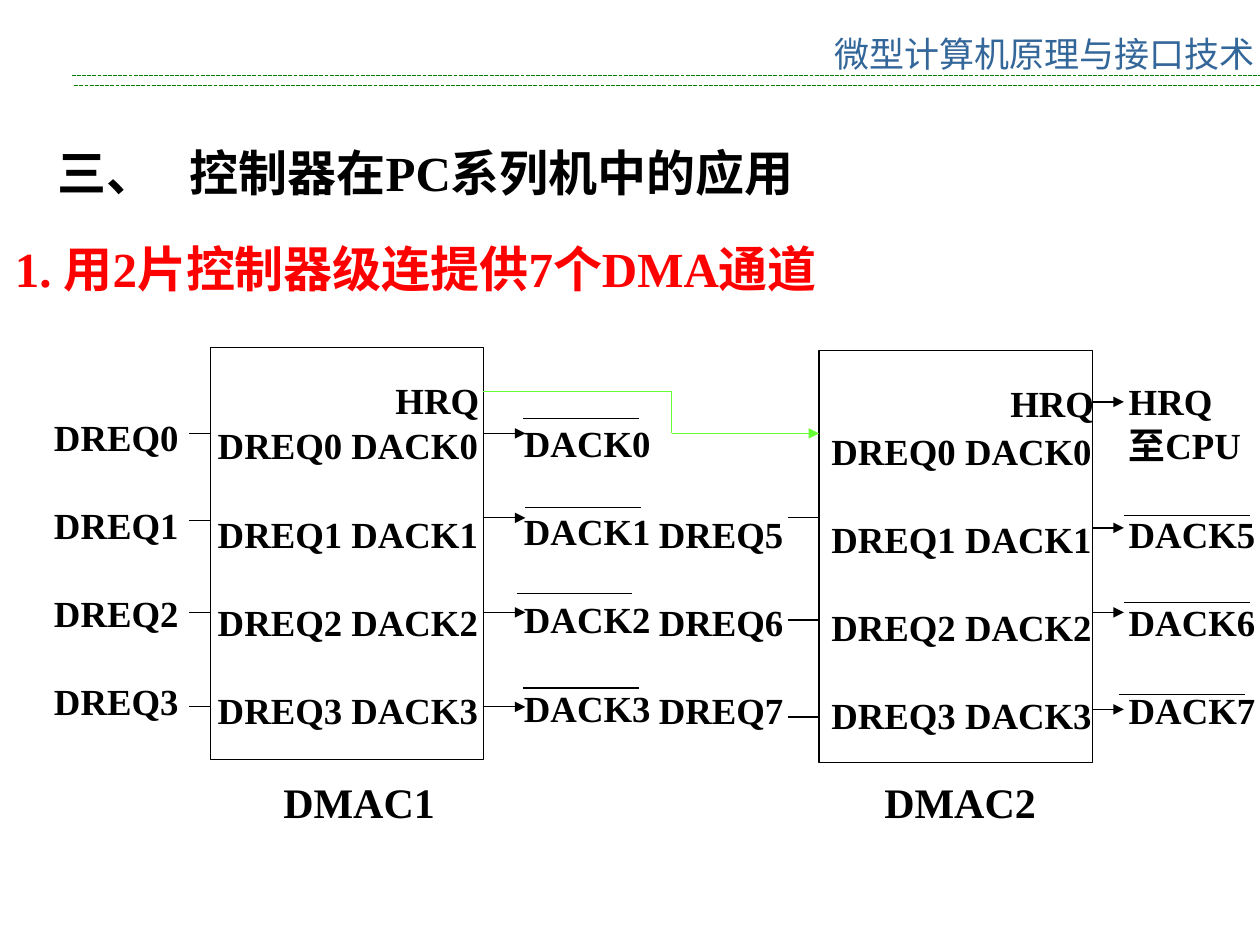
from lxml import etree
from pptx import Presentation
from pptx.dml.color import RGBColor
from pptx.enum.dml import MSO_LINE
from pptx.enum.shapes import MSO_CONNECTOR, MSO_SHAPE
from pptx.enum.text import PP_ALIGN
from pptx.oxml.ns import qn
from pptx.util import Inches, Pt

STRAIGHT = MSO_CONNECTOR.STRAIGHT
RECTANGLE = MSO_SHAPE.RECTANGLE
LEFT, CENTER = PP_ALIGN.LEFT, PP_ALIGN.CENTER
DOTTED = MSO_LINE.SQUARE_DOT

BLACK = RGBColor(0x00, 0x00, 0x00)
RED = RGBColor(0xFF, 0x00, 0x00)
GREEN = RGBColor(0x00, 0x80, 0x00)
LIME = RGBColor(0x66, 0xFF, 0x33)
BLUE = RGBColor(0x33, 0x66, 0x99)

LATIN_FONT = "Times New Roman"
CJK_FONT = "Noto Sans CJK SC"
LINE_PITCH = 25.2


def add_text(page, text, left, top, width, height, size=21, color=BLACK, bold=True,
             font=LATIN_FONT, align=LEFT, pitch=None, gap=0, tab=None):
    box = page.shapes.add_textbox(Inches(left), Inches(top), Inches(width), Inches(height))
    frame = box.text_frame
    frame.word_wrap = True
    for index, line in enumerate(text.split("\n")):
        para = frame.paragraphs[0] if index == 0 else frame.add_paragraph()
        para.alignment = align
        if pitch:
            para.line_spacing = Pt(pitch)
        if index and gap:
            para.space_before = Pt(gap)
        if tab:
            tabs = etree.SubElement(para._p.get_or_add_pPr(), qn("a:tabLst"))
            etree.SubElement(tabs, qn("a:tab"), pos=str(Inches(tab)), algn="l")
        span = para.add_run()
        span.text = line
        span.font.name = font
        span.font.size = Pt(size)
        span.font.bold = bold
        span.font.color.rgb = color
        etree.SubElement(span._r.get_or_add_rPr(), qn("a:ea"), typeface=CJK_FONT)


def add_labels(page, labels, left, top, width, gap=LINE_PITCH):
    height = 0.1 + (len(labels) * LINE_PITCH + (len(labels) - 1) * gap) / 72
    add_text(page, "\n".join(labels), left, top, width, round(height, 2),
             pitch=LINE_PITCH, gap=gap)


def add_line(page, start, end, color=BLACK, arrow=False, dash=None):
    line = page.shapes.add_connector(STRAIGHT, *(Inches(value) for value in (*start, *end)))
    line.line.color.rgb = color
    line.line.width = Pt(0.75)
    if dash:
        line.line.dash_style = dash
    if arrow:
        etree.SubElement(line.line._get_or_add_ln(), qn("a:tailEnd"), type="triangle")
    etree.SubElement(line._element.spPr, qn("a:effectLst"))


def add_rows(page, left, right, heights, arrow=False):
    for height in heights:
        add_line(page, (left, height), (right, height), arrow=arrow)


def add_overlines(page, starts, width):
    for left, top in starts:
        add_line(page, (left, top), (left + width, top))


def add_header(page, left, top, right):
    add_text(page, "微型计算机原理与接口技术", 6.5, top, 3.58, 0.5, size=20,
             color=BLUE, bold=False, font=CJK_FONT, align=CENTER)
    add_line(page, (left, 0.6), (right, 0.6), GREEN, dash=DOTTED)
    add_line(page, (left + 0.02, 0.68), (right, 0.68), GREEN, dash=DOTTED)


def add_headings(page, left, top, width):
    add_text(page, "三、\t控制器在PC系列机中的应用", left + 0.34, top, width, 0.57,
             size=28, tab=1.05)
    add_text(page, "1. 用2片控制器级连提供7个DMA通道", left, top + 0.76, width, 0.57,
             size=28, color=RED)


def add_controller(page, name, left, top, pins_left, pins_top, request_left, name_left):
    chip = page.shapes.add_shape(RECTANGLE, Inches(left), Inches(top), Inches(2.17), Inches(3.27))
    chip.shadow.inherit = False
    chip.fill.background()
    chip.line.color.rgb = BLACK
    chip.line.width = Pt(0.75)
    add_labels(page, ["HRQ"], request_left, top + 0.19, 0.95)
    pins = [f"DREQ{number} DACK{number}" for number in range(4)]
    add_labels(page, pins, pins_left, pins_top, 2.4)
    add_text(page, name, name_left, 6.11, 1.5, 0.5, size=24)


def add_first_signals(page, left, right):
    add_labels(page, [f"DREQ{number}" for number in range(4)], left - 1.34, 3.24, 1.25)
    add_rows(page, left - 0.17, left, (3.44, 4.13, 4.86, 5.61))
    add_labels(page, [f"DACK{number}" for number in range(4)], right + 0.23, 3.29, 1.28)
    add_rows(page, right, right + 0.34, (3.44, 4.11, 4.86, 5.61), arrow=True)
    add_overlines(page, ((4.15, 3.32), (4.17, 4.03), (4.1, 4.71), (4.15, 5.46)), 0.92)


def add_second_signals(page, left, right):
    add_labels(page, [f"DREQ{number}" for number in range(5, 8)], left - 1.37, 4.01, 1.25)
    add_rows(page, left - 0.25, left, (4.11, 4.92, 5.69))
    add_labels(page, ["HRQ", "至CPU"], right + 0.19, 2.96, 1.3, gap=0)
    add_labels(page, [f"DACK{number}" for number in range(5, 8)], right + 0.19, 4.01, 1.3)
    add_rows(page, right, right + 0.25, (3.19, 4.19, 4.86, 5.63), arrow=True)
    add_overlines(page, ((8.92, 4.09), (8.92, 4.78), (8.88, 5.51)), 1)


def add_cascade(page, start, end, bend):
    points = [start, (bend, start[1]), (bend, end[1]), end]
    for first, second in zip(points, points[1:]):
        add_line(page, first, second, LIME, arrow=second == end)


def main():
    deck = Presentation()
    deck.slide_width, deck.slide_height = Inches(10), Inches(7.5)
    page = deck.slides.add_slide(deck.slide_layouts[6])
    add_header(page, 0.57, 0.21, 10)
    add_headings(page, 0.02, 1.08, 8.24)
    add_controller(page, "DMAC1", 1.67, 2.76, 1.63, 3.31, 3.04, 2.15)
    add_controller(page, "DMAC2", 6.5, 2.78, 6.5, 3.35, 7.92, 6.92)
    add_first_signals(page, 1.67, 3.83)
    add_second_signals(page, 6.5, 8.67)
    add_cascade(page, (3.83, 3.11), (6.5, 3.44), 5.33)
    deck.save("out.pptx")


if __name__ == "__main__":
    main()
